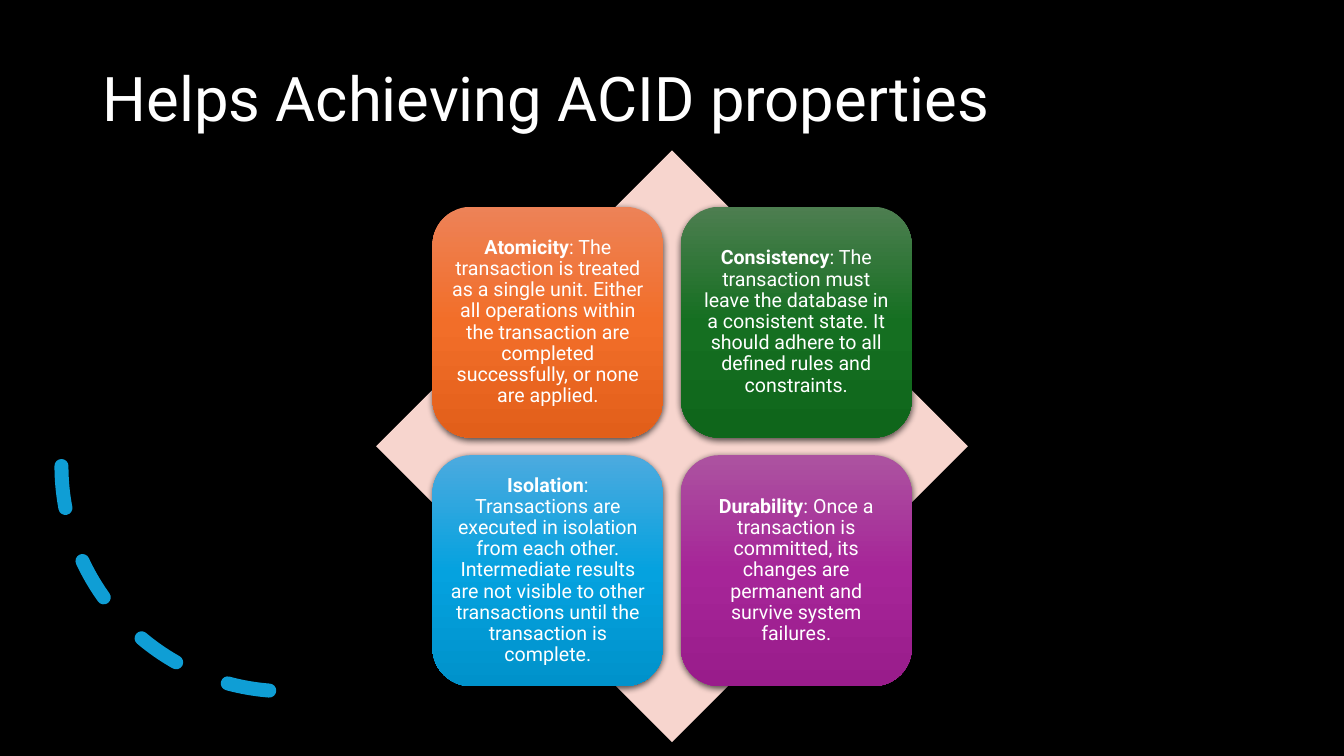
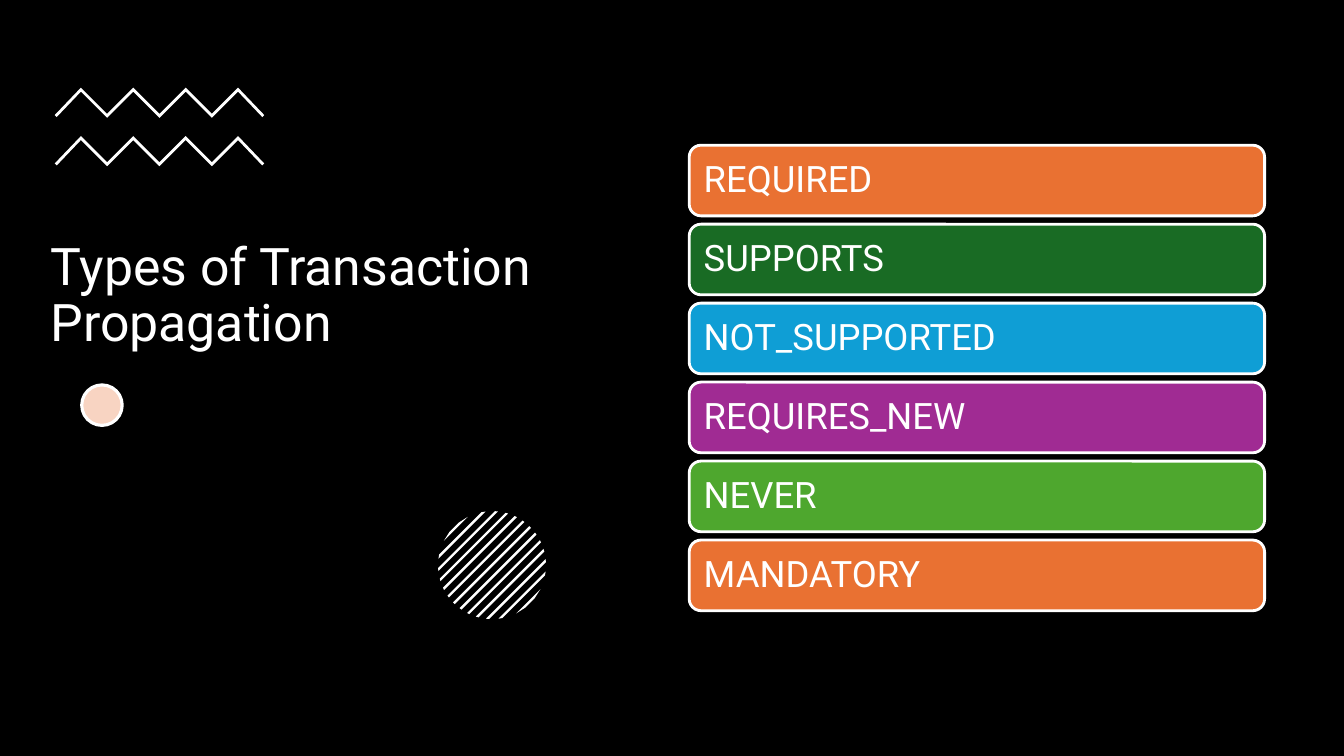
from math import sqrt

from lxml.etree import SubElement
from pptx import Presentation
from pptx.dml.color import RGBColor
from pptx.enum.dml import MSO_LINE
from pptx.enum.shapes import MSO_SHAPE
from pptx.enum.text import MSO_ANCHOR, MSO_AUTO_SIZE, PP_ALIGN
from pptx.oxml import parse_xml
from pptx.oxml.ns import nsdecls, qn
from pptx.util import Cm, Pt

FONT = "Roboto"
BLACK = RGBColor(0x00, 0x00, 0x00)
WHITE = RGBColor(0xFF, 0xFF, 0xFF)
ORANGE = RGBColor(0xE9, 0x71, 0x32)
DARK_GREEN = RGBColor(0x19, 0x6B, 0x24)
BLUE = RGBColor(0x0F, 0x9E, 0xD5)
PURPLE = RGBColor(0xA0, 0x2B, 0x93)
GREEN = RGBColor(0x4E, 0xA7, 0x2E)
PINK = RGBColor(0xF7, 0xD5, 0xCE)
PEACH = RGBColor(0xF8, 0xD4, 0xC2)


def add_text(s, runs, size, align=PP_ALIGN.LEFT, anchor=MSO_ANCHOR.MIDDLE, inset=None):
    """Write (text, bold) runs as one paragraph in the shared text style."""
    tf = s.text_frame
    tf.word_wrap = True
    tf.auto_size = MSO_AUTO_SIZE.NONE
    tf.vertical_anchor = anchor
    if inset is not None:
        tf.margin_left = tf.margin_right = tf.margin_top = tf.margin_bottom = Cm(inset)
    p = tf.paragraphs[0]
    p.alignment = align
    p.line_spacing = 0.9
    for text, bold in runs:
        r = p.add_run()
        r.text = text
        r.font.name = FONT
        r.font.size = Pt(size)
        r.font.bold = bold
        r.font.color.rgb = WHITE


def paint(s, fill=None, line=None, width=0):
    """Give a shape a flat fill and line, without shadow."""
    s.shadow.inherit = False
    if fill is None:
        s.fill.background()
    else:
        s.fill.solid()
        s.fill.fore_color.rgb = fill
    if line is None:
        s.line.fill.background()
    else:
        s.line.color.rgb = line
        s.line.width = Pt(width)


prs = Presentation()
prs.slide_width, prs.slide_height = Cm(33.87), Cm(19.05)
prs.slide_master.background.fill.solid()
prs.slide_master.background.fill.fore_color.rgb = BLACK

# Slides and titles: text, box, size, anchor
titles = [
    ("Helps Achieving ACID properties", (2.33, 0.73, 29.21, 3.68), 44, MSO_ANCHOR.MIDDLE),
    ("Types of Transaction Propagation", (1.02, 5.79, 14.5, 3.23), 37, MSO_ANCHOR.BOTTOM),
]
for text, box, size, anchor in titles:
    slide = prs.slides.add_slide(prs.slide_layouts[5])
    title = slide.shapes.title
    title.left, title.top, title.width, title.height = [Cm(v) for v in box]
    add_text(title, [(text, False)], size, anchor=anchor)
acid, propagation = [slide.shapes for slide in prs.slides]

# Slide 1: dashed arc
arc = acid.add_shape(MSO_SHAPE.ARC, Cm(1.55), Cm(6.07), Cm(11.35), Cm(11.35))
paint(arc, line=BLUE, width=10)
arc.line.dash_style = MSO_LINE.DASH
arc.line._get_or_add_ln().set("cap", "rnd")
arc.rotation = 90
arc._element.spPr.find(qn("a:xfrm")).set("flipV", "1")

# Slide 1: diamond behind four cards
diamond = acid.add_shape(MSO_SHAPE.DIAMOND, Cm(9.48), Cm(3.79), Cm(14.91), Cm(14.91))
paint(diamond, PINK)

cards = [
    ("Atomicity", ": The transaction is treated as a single unit. Either all operations "
     "within the transaction are completed successfully, or none are applied.",
     ("ED8257", "F26E29", "E25F1A")),
    ("Consistency", ": The transaction must leave the database in a consistent state. "
     "It should adhere to all defined rules and constraints.",
     ("4D7E50", "156F21", "0F661B")),
    ("Isolation", ": Transactions are executed in isolation from each other. Intermediate "
     "results are not visible to other transactions until the transaction is complete.",
     ("4CAADF", "05A2DF", "0092CB")),
    ("Durability", ": Once a transaction is committed, its changes are permanent "
     "and survive system failures.",
     ("AC53A0", "A62598", "991C8B")),
]
for i, (name, meaning, shades) in enumerate(cards):
    row, col = divmod(i, 2)
    s = acid.add_shape(MSO_SHAPE.ROUNDED_RECTANGLE, Cm(10.9 + 6.26 * col),
                       Cm(5.21 + 6.26 * row), Cm(5.82), Cm(5.82))
    paint(s, WHITE)
    add_text(s, [(name, True), (meaning, False)], 14, PP_ALIGN.CENTER, inset=0.15)
    # Vertical three-stop gradient
    spPr = s._element.spPr
    stops = "".join(f'<a:gs pos="{pos}"><a:srgbClr val="{shade}"/></a:gs>'
                    for pos, shade in zip((0, 50000, 100000), shades))
    spPr.replace(spPr.find(qn("a:solidFill")), parse_xml(
        f'<a:gradFill {nsdecls("a")} rotWithShape="1"><a:gsLst>{stops}</a:gsLst>'
        '<a:lin ang="5400000" scaled="0"/></a:gradFill>'))
    # Soft shadow below the card
    shadow = SubElement(spPr.find(qn("a:effectLst")), qn("a:outerShdw"),
                        blurRad=str(Pt(4.5)), dist=str(Pt(1.5)), dir="5400000",
                        algn="ctr", rotWithShape="0")
    color = SubElement(shadow, qn("a:srgbClr"), val="000000")
    SubElement(color, qn("a:alpha"), val="63000")

# Slide 2: outlines of two zigzags and a striped disc
outlines = []
for top in (2.21, 3.43):
    zigzag = [(1.38 + 0.66 * i, top + (0 if i % 2 else 0.66)) for i in range(1, 8)]
    low = top + 0.66
    outlines.append([(1.38, low + 0.03), *zigzag, (6.66, low + 0.03), (6.61, low + 0.08),
                     *[(x, y + 0.1) for x, y in reversed(zigzag)], (1.43, low + 0.08)])

disc_x, disc_y, radius = 12.4, 14.24, 1.36
for i in range(-6, 7):
    stripe = []
    for edge, ends in ((-0.03, (-1, 1)), (0.03, (1, -1))):
        d = 0.22 * i + edge
        half = sqrt(radius ** 2 - d ** 2)
        stripe += [(disc_x + (d + end * half) / sqrt(2), disc_y + (d - end * half) / sqrt(2))
                   for end in ends]
    outlines.append(stripe)

for outline in outlines:
    points = [(Cm(x), Cm(y)) for x, y in outline]
    builder = propagation.build_freeform(*points[0])
    builder.add_line_segments(points[1:], close=True)
    paint(builder.convert_to_shape(), WHITE)

# Slide 2: dot
dot = propagation.add_shape(MSO_SHAPE.OVAL, Cm(2.06), Cm(9.7), Cm(1.02), Cm(1.02))
paint(dot, PEACH, WHITE, 2.25)

# Slide 2: list of propagation types
kinds = [
    ("REQUIRED", ORANGE),
    ("SUPPORTS", DARK_GREEN),
    ("NOT_SUPPORTED", BLUE),
    ("REQUIRES_NEW", PURPLE),
    ("NEVER", GREEN),
    ("MANDATORY", ORANGE),
]
for i, (kind, fill) in enumerate(kinds):
    s = propagation.add_shape(MSO_SHAPE.ROUNDED_RECTANGLE, Cm(17.37), Cm(3.66 + 1.99 * i),
                              Cm(14.5), Cm(1.78))
    paint(s, fill, WHITE, 2)
    add_text(s, [(kind, False)], 26, inset=0.28)

prs.save("out.pptx")
